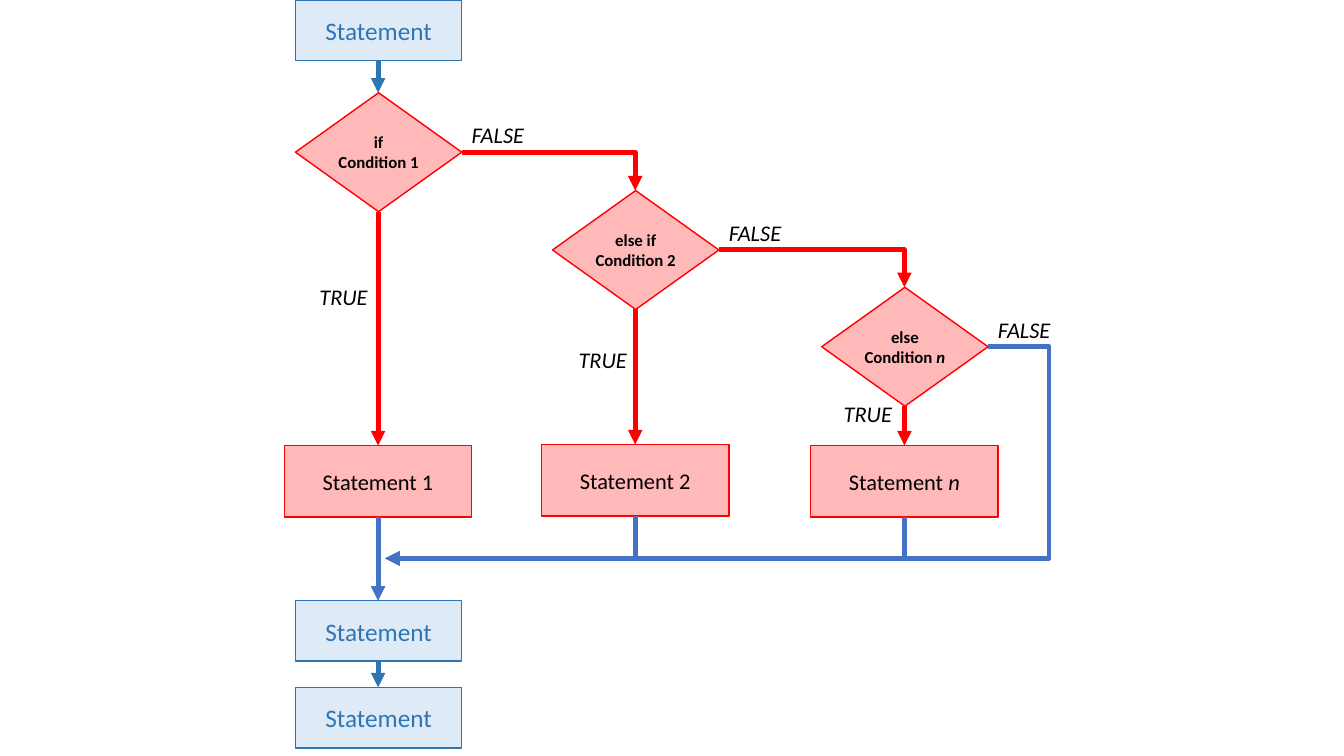
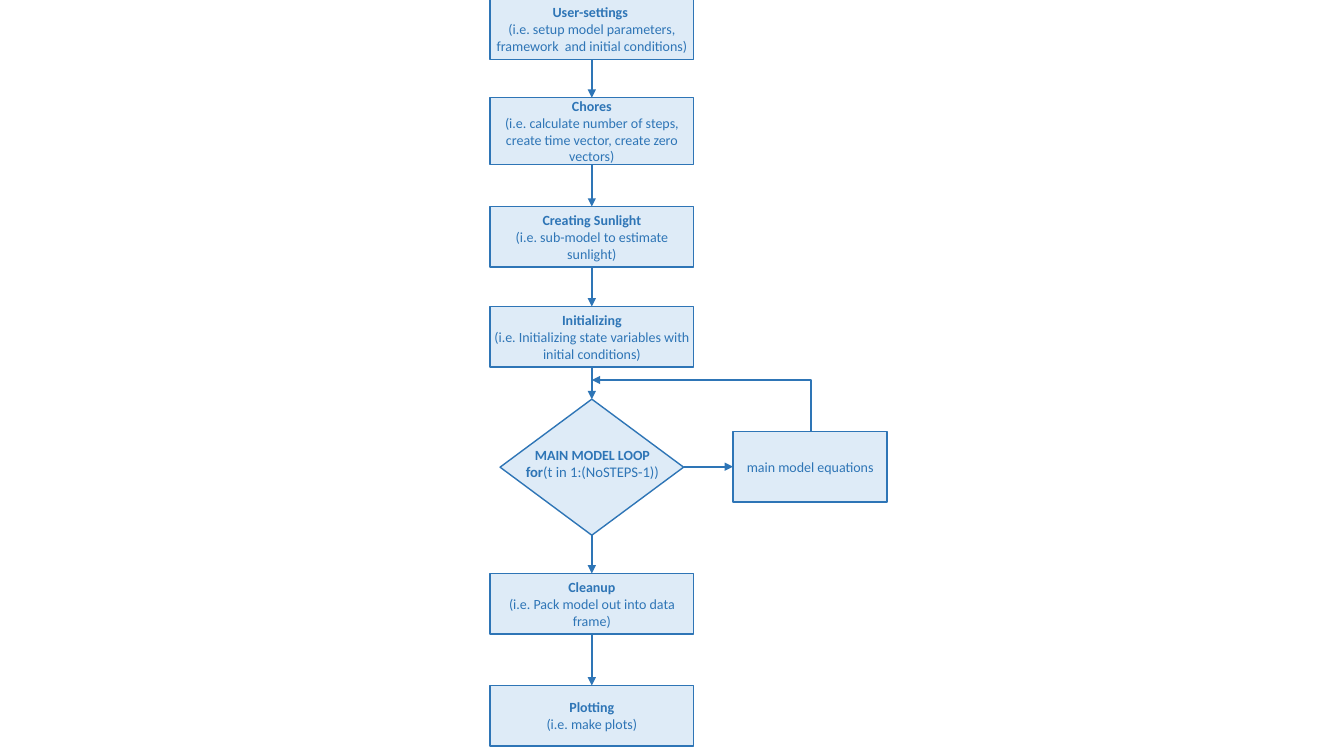
from itertools import pairwise
from lxml import etree
from pptx import Presentation
from pptx.dml.color import RGBColor
from pptx.enum.shapes import MSO_CONNECTOR as LINE, MSO_SHAPE as SHAPE
from pptx.enum.text import MSO_ANCHOR as ANCHOR, MSO_AUTO_SIZE as FIT, PP_ALIGN as ALIGN
from pptx.oxml.ns import qn
from pptx.util import Inches, Pt

# Shared look
FONT = "Calibri"
BLUE, PALE_BLUE, FLOW_BLUE = "2E75B6", "DEEBF7", "4472C4"
RED, PALE_RED, BLACK = "FF0000", "FFB9B9", "000000"
STEP = {"fill": PALE_BLUE, "line": BLUE, "color": BLUE, "size": 18}
TEST = {"fill": PALE_RED, "line": RED, "color": BLACK, "size": 12, "bold": True, "inset": 0}
BRANCH = {"fill": PALE_RED, "line": RED, "color": BLACK, "size": 16}
LABEL = {"color": BLACK, "size": 16, "italic": True, "align": ALIGN.LEFT}
STAGE = {"fill": PALE_BLUE, "line": BLUE, "color": BLUE, "size": 10, "inset": 0.02}
LOOP = {"color": BLUE, "size": 10, "bold": True, "anchor": ANCHOR.TOP}

rgb = RGBColor.from_string
prs = Presentation()
prs.slide_width, prs.slide_height = Inches(13.33), Inches(7.5)
blank = prs.slide_layouts[6]


def node(s, kind, box, paras, look):
    """Add a shape, or a text box if kind is None; each run is (text, format)."""
    box = [Inches(v) for v in box]
    if kind is None:
        sp = s.shapes.add_textbox(*box)
    else:
        sp = s.shapes.add_shape(kind, *box)
        sp.shadow.inherit = False
        sp.fill.solid()
        sp.fill.fore_color.rgb = rgb(look["fill"])
        sp.line.color.rgb = rgb(look["line"])
        sp.line.width = Pt(1)
    tf = sp.text_frame
    tf.word_wrap = True
    tf.vertical_anchor = look.get("anchor", ANCHOR.MIDDLE)
    if "inset" in look:
        for side in ("left", "right", "top", "bottom"):
            setattr(tf, f"margin_{side}", Inches(look["inset"]))
    for i, runs in enumerate(paras):
        p = tf.add_paragraph() if i else tf.paragraphs[0]
        p.alignment = look.get("align", ALIGN.CENTER)
        for text, own in runs:
            r = p.add_run()
            r.text = text
            fmt = look | own
            r.font.name = FONT
            r.font.size = Pt(fmt["size"])
            r.font.color.rgb = rgb(fmt["color"])
            for key in ("bold", "italic"):
                setattr(r.font, key, fmt.get(key, False))
    return sp


def link(s, x1, y1, x2, y2, color, width, bend=None, adj=None):
    """Add an arrow; bend names the first leg of a one-corner elbow."""
    kind = LINE.ELBOW if bend or adj is not None else LINE.STRAIGHT
    ends = x1, y1, x2, y2
    if bend in ("down", "up"):
        # A vertical first leg is a turned elbow about the same centre
        cx, cy = (x1 + x2) / 2, (y1 + y2) / 2
        w, h = abs(y2 - y1) / 2, abs(x2 - x1) / 2
        if bend == "up":
            h = -h
        ends = cx - w, cy - h, cx + w, cy + h
    c = s.shapes.add_connector(kind, *[Inches(v) for v in ends])
    c.line.color.rgb = rgb(color)
    c.line.width = Pt(width)
    pr = c._element.spPr
    geom = pr.find(qn("a:prstGeom"))
    if bend:
        geom.set("prst", "bentConnector2")
        turn = {"across": 0, "down": 90, "up": 270}[bend]
        pr.find(qn("a:xfrm")).set("rot", str(turn * 60000))
    if adj is not None:
        etree.SubElement(geom.find(qn("a:avLst")), qn("a:gd"), name="adj1", fmla=f"val {adj}")
    etree.SubElement(pr.find(qn("a:ln")), qn("a:tailEnd"), type="triangle")
    etree.SubElement(pr, qn("a:effectLst"))


# Slide 1: if / else if / else flow
s = prs.slides.add_slide(blank)
main_x, thick = 3.75, 3.5
for y in (0, 5.96, 6.82):
    node(s, SHAPE.RECTANGLE, (2.93, y, 1.65, 0.6), [[("Statement", {})]], STEP)
for y1, y2 in ((0.6, 0.92), (6.56, 6.82)):
    link(s, main_x, y1, main_x, y2, BLUE, thick)

# Conditions with their statements: centre, diamond top, box top, TRUE label, texts
n = ("n", {"italic": True})
branches = [
    (3.75, 0.92, 4.42, (3.07, 2.59), "if", [("Condition 1", {})], [("Statement 1", {})]),
    (6.3, 1.89, 4.41, (5.64, 3.21), "else if", [("Condition 2", {})], [("Statement 2", {})]),
    (8.97, 2.85, 4.42, (8.27, 3.75), "else", [("Condition ", {}), n], [("Statement ", {}), n]),
]
for x, top, box_y, _, word, condition, statement in branches:
    node(s, SHAPE.DIAMOND, (x - 0.82, top, 1.65, 1.18), [[(word, {})], condition], TEST)
    node(s, SHAPE.RECTANGLE, (x - 0.93, box_y, 1.86, 0.71), [statement], BRANCH)
    link(s, x, top + 1.18, x, box_y, RED, thick)

# FALSE leads to the next condition
for (x1, top1, *_), (x2, top2, *_) in pairwise(branches):
    link(s, x1 + 0.83, top1 + 0.59, x2, top2, RED, thick, "across")

# All branches return to the main line
merge_x, merge_y = 3.82, 5.54
link(s, main_x, 5.13, main_x, 5.96, FLOW_BLUE, thick)
for x, _, box_y, *_ in branches[1:]:
    link(s, x, box_y + 0.71, merge_x, merge_y, FLOW_BLUE, thick, "down")
link(s, 9.8, 3.44, merge_x, merge_y, FLOW_BLUE, thick, adj=-10100)

# Branch labels
for x, top, _, true_at, *_ in branches:
    for text, at in (("TRUE", true_at), ("FALSE", (x + 0.83, top + 0.06))):
        node(s, None, (*at, 0.76, 0.71), [[(text, {})]], LABEL)

# Slide 2: model script flow
s = prs.slides.add_slide(blank)
mid_x, thin = 5.87, 1.5
stages = [
    (-0.01, 0.6, "User-settings ",
     "(i.e. setup model parameters, framework  and initial conditions)"),
    (0.97, 0.66, "Chores",
     "(i.e. calculate number of steps, create time vector, create zero vectors)"),
    (2.05, 0.6, "Creating Sunlight", "(i.e. sub-model to estimate sunlight)"),
    (3.04, 0.6, "Initializing", "(i.e. Initializing state variables with initial conditions)"),
    (5.69, 0.6, "Cleanup", "(i.e. Pack model out into data frame)"),
    (6.8, 0.6, "Plotting", "(i.e. make plots)"),
]
for y, h, name, note in stages:
    node(s, SHAPE.RECTANGLE, (4.86, y, 2.02, h),
         [[(name, {"bold": True})], [(note, {})]], STAGE)

# Main loop
node(s, SHAPE.RECTANGLE, (7.27, 4.28, 1.53, 0.7), [[("main model equations", {})]], STAGE)
node(s, SHAPE.DIAMOND, (4.96, 3.96, 1.82, 1.35), [], STAGE)
sp = node(s, None, (5.09, 4.38, 1.57, 0.45),
          [[("MAIN MODEL LOOP", {})],
           [("for", {"size": 10.5}), ("(t in 1:(NoSTEPS-1))", {"size": 10.5, "bold": False})]],
          LOOP)
sp.text_frame.auto_size = FIT.SHAPE_TO_FIT_TEXT
link(s, 6.78, 4.63, 7.27, 4.63, BLUE, thin)
link(s, 8.04, 4.28, mid_x, 3.77, BLUE, thin, "up")

# Arrows down the column, with the loop diamond in its place
column = sorted([stage[:2] for stage in stages] + [(3.96, 1.35)])
for (y, h), (below, _) in pairwise(column):
    link(s, mid_x, y + h, mid_x, below, BLUE, thin)

prs.save("out.pptx")
